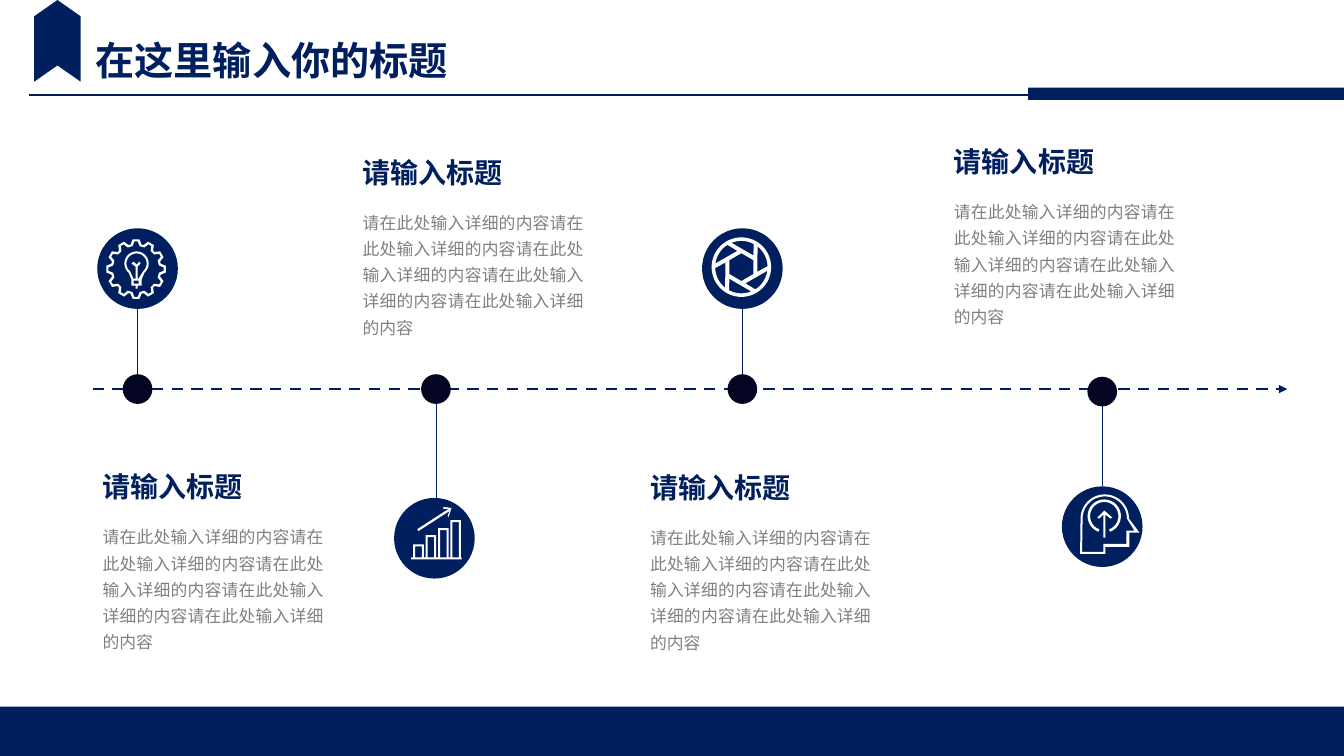
from math import cos, radians, sin
from typing import NamedTuple

from lxml.etree import SubElement
from pptx import Presentation
from pptx.dml.color import RGBColor
from pptx.enum.dml import MSO_LINE_DASH_STYLE as Dash
from pptx.enum.shapes import MSO_CONNECTOR as Connector
from pptx.enum.shapes import MSO_SHAPE as Preset
from pptx.enum.text import MSO_AUTO_SIZE as AutoSize
from pptx.enum.text import PP_ALIGN as Align
from pptx.oxml.ns import qn
from pptx.util import Inches, Pt

COLORS = {"navy": "001F5E", "ink": "040523", "grey": "808080", "white": "FFFFFF"}
FONT = "Noto Sans CJK SC"

# Grid: square cells, ten to the inch
COLUMNS, ROWS = 133.33, 75
CIRCLE, DOT = 8, 2.7
BODY_OFFSET = 5.1

Point = tuple[float, float]
Contour = list[Point]
Icon = list[list[Contour]]


class Milestone(NamedTuple):
    dot: Point
    circle: Point
    words: Point
    icon: Icon


def cells(count: float) -> int:
    return Inches(count / 10)


def color(name: str) -> RGBColor:
    return RGBColor.from_string(COLORS[name])


# Contours, measured in cells from the middle of the icon's circle
def polar(center: Point, radius: float, angle: float) -> Point:
    turn = radians(angle)
    return center[0] + radius * cos(turn), center[1] + radius * sin(turn)


def arc(center: Point, radius: float, start: int, end: int) -> Contour:
    step = 5 if end > start else -5
    return [polar(center, radius, angle) for angle in range(start, end + step, step)]


def rect(left: float, top: float, right: float, bottom: float) -> Contour:
    return [(left, top), (right, top), (right, bottom), (left, bottom)]


def toothed(center: Point, profile: list[Point]) -> Contour:
    return [polar(center, radius, tooth + angle)
            for tooth in range(0, 360, 30) for angle, radius in profile]


def gear_icon() -> Icon:
    hub, bulb = (-0.15, 0.05), (-0.1, -0.5)
    rim = [(-12.5, 2.5), (-6.5, 2.97), (6.5, 2.97), (12.5, 2.5)]
    inner_rim = [(-9, 2.3), (-3.5, 2.75), (3.5, 2.75), (9, 2.3)]
    glass = arc(bulb, 1.2, 130, 410) + [
        (0.4, 1.1), (0.4, 1.7), (0, 1.7), (0, 2), (-0.2, 2), (-0.2, 1.7),
        (-0.6, 1.7), (-0.6, 1.1)]
    filament = arc(bulb, 1, 130, 410) + [
        (0.1, 1), (0, 1), (0, -0.2), (0.3, -0.5), (0.2, -0.7), (-0.1, -0.4),
        (-0.4, -0.7), (-0.6, -0.5), (-0.2, -0.2), (-0.2, 1), (-0.4, 1)]
    return [[toothed(hub, rim), toothed(hub, inner_rim)],
            [glass, filament, rect(-0.4, 1.2, 0.1, 1.5)]]


def growth_icon() -> Icon:
    bars = [rect(-2.3, 1.9, 2.7, 2.1)]
    for index, top in enumerate([0.6, -0.3, -1, -1.8]):
        left = -2.1 + 1.23 * index
        bars += [rect(left, top, left + 1.05, 1.9),
                 rect(left + 0.2, top + 0.2, left + 0.85, 1.9)]
    arrow = [(-1.6, -0.7), (1.5, -2.7), (1.3, -2.2), (1.4, -2.1), (1.7, -3),
             (0.9, -3.1), (0.9, -2.9), (1.4, -2.9), (-1.7, -0.9)]
    return [bars, [arrow]]


def aperture_icon() -> Icon:
    center = (-0.1, -0.15)
    turns = range(0, 360, 60)
    blades = [arc(center, 2.6, turn - 52, turn - 4) + [polar(center, 1.66, turn + 16)]
              for turn in turns]
    opening = [polar(center, 1.38, turn + 30) for turn in turns]
    return [[arc(center, 2.95, 0, 355), opening, *blades]]


def head_icon() -> Icon:
    skull, ring = (0.25, -0.8), (0.2, -1.05)
    outer = arc(skull, 2.4, 180, 360) + [
        (3.7, 0.6), (2.7, 0.6), (2.7, 2), (0.3, 2), (0.3, 2.7), (-2.2, 2.7)]
    inner = arc(skull, 2.2, 180, 360) + [
        (3.2, 0.4), (2.4, 0.4), (2.4, 1.7), (0.1, 1.7), (0.1, 2.5), (-2, 2.5)]
    arrow = [(0.8, -0.8), (1, -0.9), (0.2, -1.6), (-0.5, -0.9), (-0.3, -0.8),
             (0.1, -1.2), (0.1, 1.1), (0.3, 1.1), (0.3, -1.2)]
    band = arc(ring, 1.65, 110, 430) + arc(ring, 1.4, 430, 110)
    return [[outer, inner], [arrow], [band]]


# Drawing
def paint(shape, fill: str, outline: float = 0) -> None:
    shape.shadow.inherit = False
    shape.fill.solid()
    shape.fill.fore_color.rgb = color(fill)
    if outline:
        shape.line.color.rgb = color(fill)
        shape.line.width = Pt(outline)
    else:
        shape.line.fill.background()


def add_block(page, preset, left: float, top: float, width: float, height: float,
              fill: str = "navy", outline: float = 0):
    block = page.shapes.add_shape(preset, *map(cells, (left, top, width, height)))
    paint(block, fill, outline)
    return block


def add_disc(page, center: Point, size: float, fill: str, outline: float = 0) -> None:
    add_block(page, Preset.OVAL, center[0] - size / 2, center[1] - size / 2,
              size, size, fill, outline)


def add_rule(page, start: Point, end: Point, width: float):
    rule = page.shapes.add_connector(Connector.STRAIGHT, *map(cells, (*start, *end)))
    rule.line.color.rgb = color("navy")
    rule.line.width = Pt(width)
    SubElement(rule._element.spPr, qn("a:effectLst"))
    return rule


def add_icon(page, icon: Icon, center: Point) -> None:
    for part in icon:
        placed = [[(cells(center[0] + x), cells(center[1] + y)) for x, y in contour]
                  for contour in part]
        builder = page.shapes.build_freeform(*placed[0][0])
        for contour in placed:
            builder.move_to(*contour[0])
            builder.add_line_segments(contour[1:], close=True)
        paint(builder.convert_to_shape(), "white")


def add_text(page, text: str, left: float, top: float, width: float, height: float, *,
             size: float, ink: str = "navy", bold: bool = False, wrap: bool = True,
             align=Align.LEFT, spacing: float = 1.0) -> None:
    box = page.shapes.add_textbox(*map(cells, (left, top, width, height)))
    box.text_frame.word_wrap = wrap
    box.text_frame.auto_size = AutoSize.SHAPE_TO_FIT_TEXT
    para = box.text_frame.paragraphs[0]
    para.alignment, para.line_spacing = align, spacing
    span = para.add_run()
    span.text = text
    span.font.size, span.font.bold, span.font.name = Pt(size), bold, FONT
    span.font.color.rgb = color(ink)
    SubElement(span.font._element, qn("a:ea"), typeface=FONT)


def add_frame(page) -> None:
    add_block(page, Preset.RECTANGLE, 0, 70.1, COLUMNS, ROWS - 70.1)
    add_rule(page, (2.9, 9.4), (115.2, 9.4), 1.5)
    add_block(page, Preset.RECTANGLE, 102, 8.7, COLUMNS - 102, 1.2)
    add_text(page, "在这里输入你的标题", 8.5, 3.1, 37.4, 5.7, size=28, bold=True, wrap=False)
    ribbon = add_block(page, Preset.CHEVRON, 1.65, 1.75, 8.1, 4.6)
    ribbon.adjustments[0] = 0.35
    ribbon.rotation = 270


def add_timeline(page) -> None:
    axis = add_rule(page, (9.2, 38.6), (127.7, 38.6), 2)
    axis.line.dash_style = Dash.DASH
    SubElement(axis.line._get_or_add_ln(), qn("a:tailEnd"), type="triangle")


def add_milestone(page, item: Milestone) -> None:
    toward_dot = CIRCLE / 2 if item.circle[1] < item.dot[1] else -CIRCLE / 2
    add_disc(page, item.circle, CIRCLE, "navy")
    add_rule(page, item.dot, (item.dot[0], item.circle[1] + toward_dot), 0.5)
    add_disc(page, item.dot, DOT, "ink", 1.75)
    add_icon(page, item.icon, item.circle)
    left, top = item.words
    add_text(page, "请输入标题", left, top, 21.1, 4.4, size=20, bold=True)
    add_text(page, "请在此处输入详细的内容" * 5, left, top + BODY_OFFSET, 23.9, 13.9,
             size=12, ink="grey", align=Align.JUSTIFY, spacing=1.3)


def main() -> None:
    deck = Presentation()
    deck.slide_width, deck.slide_height = cells(COLUMNS), cells(ROWS)
    page = deck.slides.add_slide(deck.slide_layouts[6])
    add_frame(page)
    add_timeline(page)
    for item in (
        Milestone((13.65, 38.6), (13.65, 26.65), (9.2, 46.1), gear_icon()),
        Milestone((43.25, 38.6), (43.1, 53.4), (35, 14.9), growth_icon()),
        Milestone((73.65, 38.6), (73.65, 26.65), (63.5, 46.15), aperture_icon()),
        Milestone((109.35, 38.85), (109.35, 52.25), (93.65, 13.85), head_icon()),
    ):
        add_milestone(page, item)
    deck.save("out.pptx")


if __name__ == "__main__":
    main()
